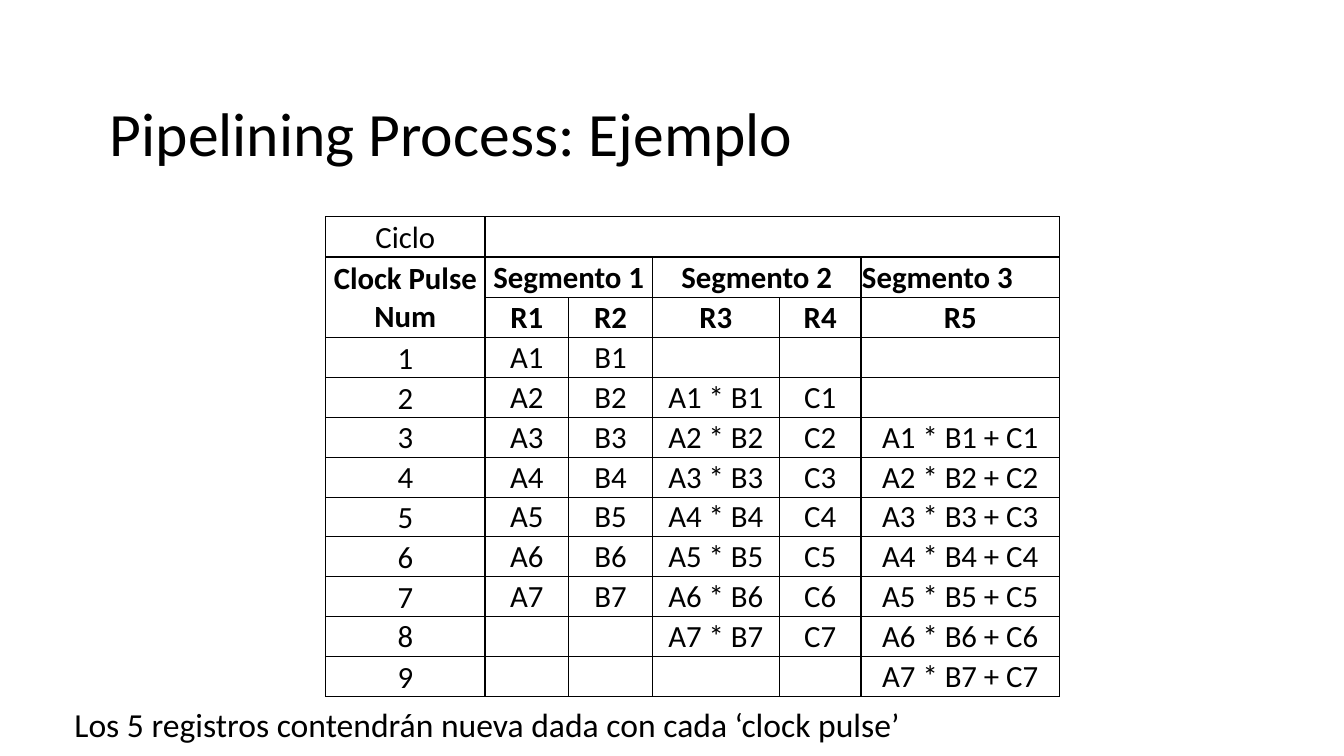
from dataclasses import dataclass

from lxml.etree import SubElement
from pptx import Presentation
from pptx.dml.color import RGBColor as RGB
from pptx.enum.text import MSO_ANCHOR as Anchor, MSO_AUTO_SIZE as Fit, PP_ALIGN as Align
from pptx.oxml.ns import qn
from pptx.util import Inches, Pt

GRID = 0.5  # inches per column and row of the slide grid
COLORS = {"ink": "000000"}
FONT = "Calibri"
PAIRS = 7
COLS = [3.16, 1.66, 1.66, 2.52, 1.62, 3.94]
ROWS = [0.8] * 3 + [0.79] * 8 + [0.8]
HEAD = 3
THICK_X = {0, 1, 3, 5, 6}
THICK_Y = {0, 1, HEAD, len(ROWS)}
PADS = {"margin_left": 0.02, "margin_right": 0.02, "margin_top": 0.02, "margin_bottom": 0}


@dataclass
class Box:
    left: float
    top: float
    width: float
    height: float

    def place(self) -> list:
        return [cells(n) for n in (self.left, self.top, self.width, self.height)]


@dataclass
class Segment:
    name: str
    start: int
    regs: list[str]
    terms: list[str]
    delay: int
    align: Align = Align.CENTER


SEGMENTS = [
    Segment("Segmento 1", 1, ["R1", "R2"], ["A{0}", "B{0}"], 0),
    Segment("Segmento 2", 3, ["R3", "R4"], ["A{0} * B{0}", "C{0}"], 1),
    Segment("Segmento 3", 5, ["R5"], ["A{0} * B{0} + C{0}"], 2, Align.LEFT),
]
TITLE = Box(1.98, 1.78, 23, 1.86)
TABLE = Box(6.46, 4.3, sum(COLS), sum(ROWS))
NOTE = Box(1.28, 13.86, 16.92, 1)


def cells(count: float) -> int:
    """Length of a number of grid cells."""
    return Inches(count * GRID)


def write(frame, text: str, size: int, align: Align = Align.LEFT, bold: bool = False) -> None:
    para = frame.paragraphs[0]
    para.alignment = align
    run = para.add_run()
    run.text = text
    for key, value in {"name": FONT, "size": Pt(size), "bold": bold}.items():
        setattr(run.font, key, value)
    run.font.color.rgb = RGB.from_string(COLORS["ink"])


def fill(cell, text: str, bold: bool = False, align: Align = Align.CENTER,
         anchor: Anchor = Anchor.MIDDLE) -> None:
    cell.vertical_anchor = anchor
    write(cell.text_frame, text, 22, align, bold)


def rule(cell, row: int, col: int) -> None:
    """Border a cell: thick lines part the segments, thin lines the rest."""
    right = col + max(cell.span_width, 1)
    low = row + max(cell.span_height, 1)
    props = cell._tc.get_or_add_tcPr()
    for side, thick in (("L", col in THICK_X), ("R", right in THICK_X),
                        ("T", row in THICK_Y), ("B", low in THICK_Y)):
        line = SubElement(props, qn(f"a:ln{side}"), w=str(Pt(1 if thick else 0.5)))
        SubElement(SubElement(line, qn("a:solidFill")), qn("a:srgbClr"), val=COLORS["ink"])


def style(table) -> None:
    table.first_row = table.horz_banding = False
    for col, width in zip(table.columns, COLS):
        col.width = cells(width)
    for row, height in zip(table.rows, ROWS):
        row.height = cells(height)
    for row in range(len(ROWS)):
        for col in range(len(COLS)):
            cell = table.cell(row, col)
            for key, pad in PADS.items():
                setattr(cell, key, cells(pad))
            rule(cell, row, col)
            cell.fill.background()


def fill_head(table) -> None:
    table.cell(0, 1).merge(table.cell(0, len(COLS) - 1))
    table.cell(1, 0).merge(table.cell(2, 0))
    fill(table.cell(0, 0), "Ciclo", anchor=Anchor.BOTTOM)
    fill(table.cell(1, 0), "Clock Pulse Num", bold=True)
    for seg in SEGMENTS:
        first = table.cell(1, seg.start)
        if len(seg.regs) > 1:
            first.merge(table.cell(1, seg.start + len(seg.regs) - 1))
        fill(first, seg.name, True, seg.align)
        for col, reg in enumerate(seg.regs, seg.start):
            fill(table.cell(2, col), reg, bold=True)


def fill_pulses(table) -> None:
    """Each segment works on the pair that entered `delay` pulses ago."""
    for pulse in range(1, len(ROWS) - HEAD + 1):
        row = HEAD + pulse - 1
        fill(table.cell(row, 0), str(pulse), anchor=Anchor.BOTTOM)
        for seg in SEGMENTS:
            pair = pulse - seg.delay
            if 1 <= pair <= PAIRS:
                for col, term in enumerate(seg.terms, seg.start):
                    fill(table.cell(row, col), term.format(pair))


def main() -> None:
    deck = Presentation()
    deck.slide_width, deck.slide_height = Inches(13.33), Inches(7.5)
    slide = deck.slides.add_slide(deck.slide_layouts[5])

    title = slide.shapes.title
    title.left, title.top, title.width, title.height = TITLE.place()
    frame = title.text_frame
    frame.auto_size, frame.vertical_anchor = Fit.NONE, Anchor.MIDDLE
    write(frame, "Pipelining Process: Ejemplo", 44)
    frame.paragraphs[0].line_spacing = 0.9

    table = slide.shapes.add_table(len(ROWS), len(COLS), *TABLE.place()).table
    fill_head(table)
    fill_pulses(table)
    style(table)

    note = slide.shapes.add_textbox(*NOTE.place()).text_frame
    note.word_wrap, note.auto_size = False, Fit.SHAPE_TO_FIT_TEXT
    write(note, "Los 5 registros contendrán nueva dada con cada ‘clock pulse’", 24)
    deck.save("out.pptx")


if __name__ == "__main__":
    main()
